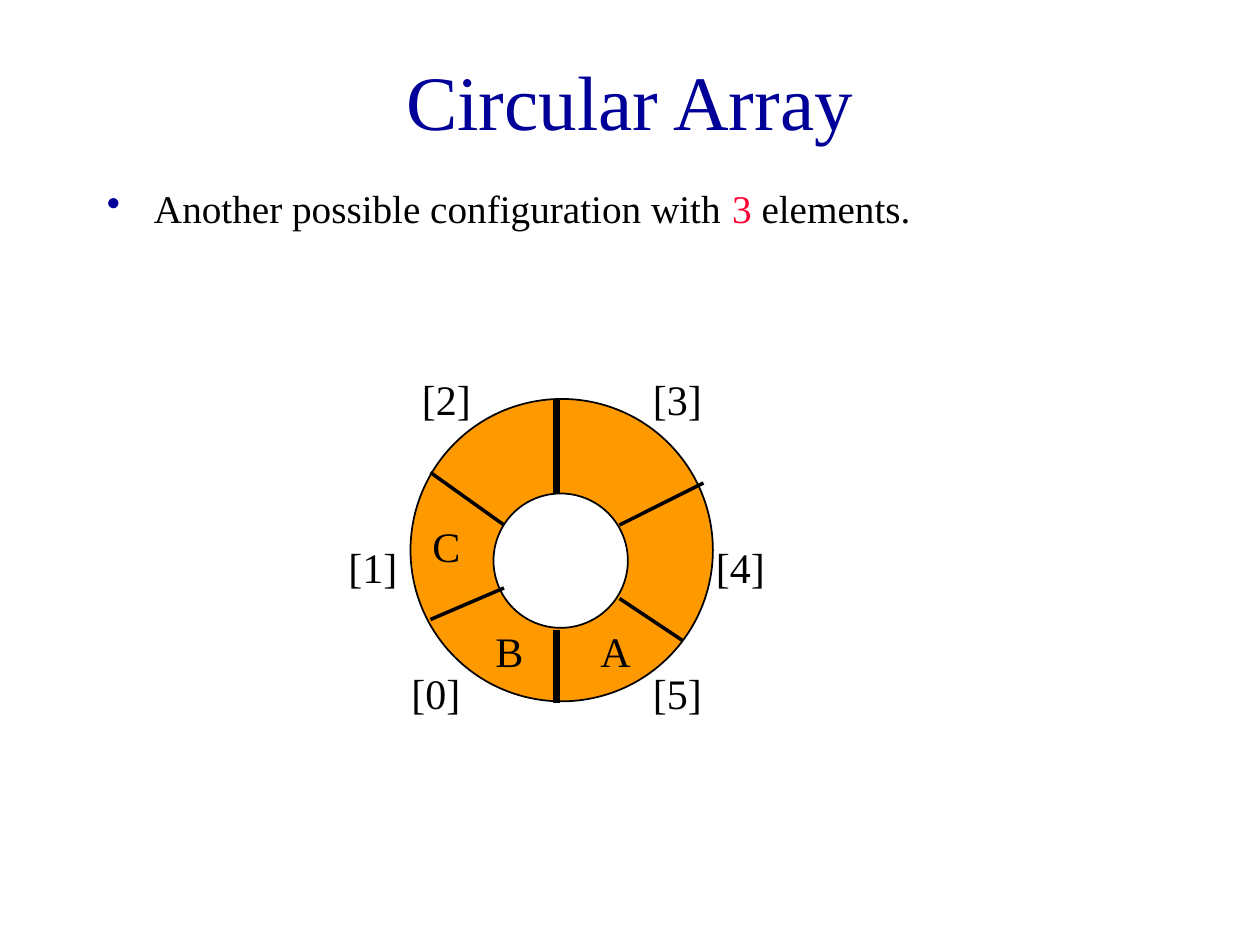
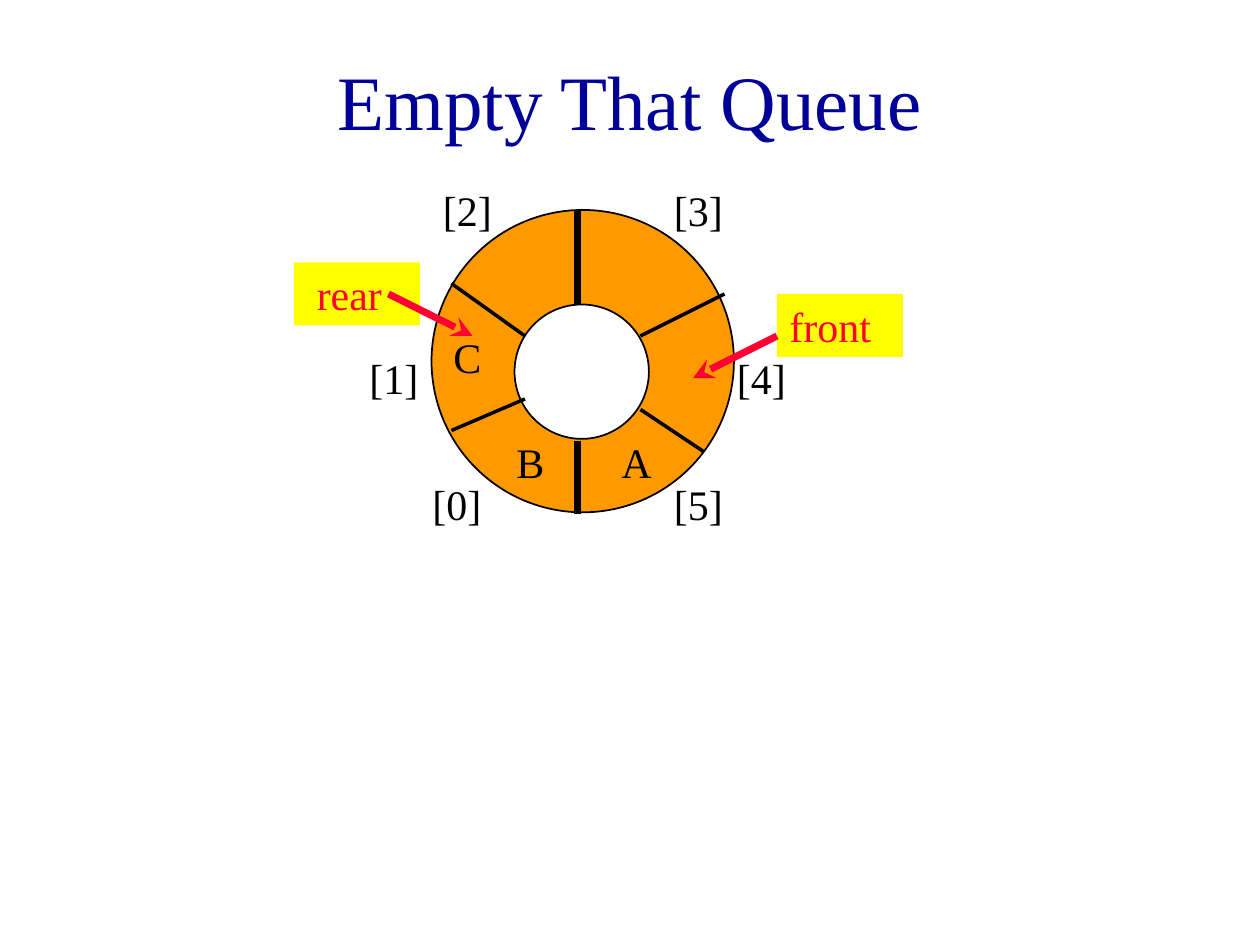
import lxml.etree
import pptx
import pptx.dml.color
import pptx.enum.shapes
import pptx.enum.text
import pptx.oxml
import pptx.oxml.ns
import pptx.util

STEP = 2.54 / 12
NAVY, RED, BLACK = "000099", "FF0033", "000000"
ORANGE, YELLOW, WHITE = "FF9900", "FFFF00", "FFFFFF"
SHAPE = pptx.enum.shapes.MSO_SHAPE
ALIGN = pptx.enum.text.PP_ALIGN
ANCHOR = pptx.enum.text.MSO_ANCHOR

DIVIDERS = [
    (14, 0, 14, 9, 4), (14, 22, 14, 29, 4), (2, 7, 9, 12, 2),
    (9, 18, 2, 21, 2), (20, 12, 28, 8, 2), (20, 19, 26, 23, 2),
]
INDEX_SPOTS = [(-1, 25), (-7, 13), (0, -3), (22, -3), (28, 13), (22, 25)]
ELEMENT_SPOTS = {"A": (17, 21), "B": (7, 21), "C": (1, 11)}


def color(value):
    return pptx.dml.color.RGBColor.from_string(value)


def grid(*steps):
    return [pptx.util.Cm(step * STEP) for step in steps]


def add_xml(parent, tag, **attributes):
    return lxml.etree.SubElement(parent, pptx.oxml.ns.qn(tag), attributes)


class SlideBuilder:
    """Draws styled elements on the current slide, on a grid of 12 steps to the inch."""

    font = "Times New Roman"

    def __init__(self, deck):
        self.deck = deck

    def start(self, title):
        self.page = self.deck.slides.add_slide(self.deck.slide_layouts[6])
        self.page.background.fill.solid()
        self.page.background.fill.fore_color.rgb = color(WHITE)
        self.shapes = self.page.shapes
        box = self.text(title, 9, 2, 102, 15, size=44, ink=NAVY)
        box.text_frame.vertical_anchor = ANCHOR.MIDDLE
        box.text_frame.paragraphs[0].alignment = ALIGN.CENTER

    def group(self):
        self.shapes = self.page.shapes.add_group_shape().shapes

    def style(self, font, size, ink):
        font.name = self.font
        font.size = pptx.util.Pt(size)
        font.color.rgb = color(ink)

    def label(self, box, text, size=24, ink=BLACK):
        box.text_frame.word_wrap = True
        para = box.text_frame.paragraphs[0]
        para.text = text
        self.style(para.font, size, ink)
        return para

    def text(self, text, left, top, width, height=6, **style):
        box = self.shapes.add_textbox(*grid(left, top, width, height))
        self.label(box, text, **style)
        return box

    def bullet(self, spans, left, top, width, height):
        box = self.shapes.add_textbox(*grid(left, top, width, height))
        box.text_frame.word_wrap = True
        para = box.text_frame.paragraphs[0]
        for words, ink in spans:
            span = para.add_run()
            span.text = words
            self.style(span.font, 22.4, ink)
        properties = para._p.get_or_add_pPr()
        indent = pptx.util.Cm(0.95)
        properties.set("marL", str(indent))
        properties.set("indent", str(-indent))
        add_xml(add_xml(properties, "a:buClr"), "a:srgbClr", val=NAVY)
        add_xml(properties, "a:buChar", char="•")

    def shape(self, kind, left, top, width, height, fill, line=None):
        shape = self.shapes.add_shape(kind, *grid(left, top, width, height))
        shape.shadow.inherit = False
        shape.fill.solid()
        shape.fill.fore_color.rgb = color(fill)
        if line:
            shape.line.color.rgb = color(line)
            shape.line.width = pptx.util.Pt(1)
        else:
            shape.line.fill.background()
        return shape

    def line(self, x1, y1, x2, y2, width, ink=BLACK, arrow=False):
        straight = pptx.enum.shapes.MSO_CONNECTOR.STRAIGHT
        connector = self.shapes.add_connector(straight, *grid(x1, y1, x2, y2))
        connector.line.color.rgb = color(ink)
        connector.line.width = pptx.util.Pt(width)
        properties = connector._element.spPr
        if arrow:
            add_xml(properties.find(pptx.oxml.ns.qn("a:ln")), "a:tailEnd", type="stealth")
        add_xml(properties, "a:effectLst")

    def ring(self, left, top):
        self.group()
        self.shape(SHAPE.OVAL, left + 0.1, top, 28.8, 28.8, ORANGE, BLACK)
        self.shape(SHAPE.OVAL, left + 8, top + 9, 12.8, 12.8, WHITE, BLACK)
        for x1, y1, x2, y2, width in DIVIDERS:
            self.line(left + x1, top + y1, left + x2, top + y2, width)
        for index, (x, y) in enumerate(INDEX_SPOTS):
            self.text(f"[{index}]", left + x, top + y, 11)
        for element, (x, y) in ELEMENT_SPOTS.items():
            self.text(element, left + x, top + y, 8)

    def pointer(self, name, left, top, arrow, margin=0.25):
        self.group()
        tag = self.shape(SHAPE.RECTANGLE, left, top, 12, 6, YELLOW)
        tag.text_frame.vertical_anchor = ANCHOR.TOP
        tag.text_frame.margin_left = pptx.util.Cm(margin)
        self.label(tag, name, ink=RED).alignment = ALIGN.LEFT
        self.line(*arrow, 4, RED, arrow=True)


def main():
    deck = pptx.Presentation()
    deck.slide_width, deck.slide_height = grid(120, 90)
    builder = SlideBuilder(deck)

    builder.start("Circular Array")
    builder.bullet(
        [("Another possible configuration with ", BLACK), ("3 ", RED), ("elements.", BLACK)],
        9, 17, 102, 6,
    )
    builder.ring(39, 38)

    builder.start("Empty That Queue")
    builder.ring(41, 20)
    builder.pointer("front", 74, 28, (74, 32, 66, 36))
    builder.pointer("rear", 28, 25, (37, 28, 45, 32), margin=0.46)

    deck.save("out.pptx")


if __name__ == "__main__":
    main()
